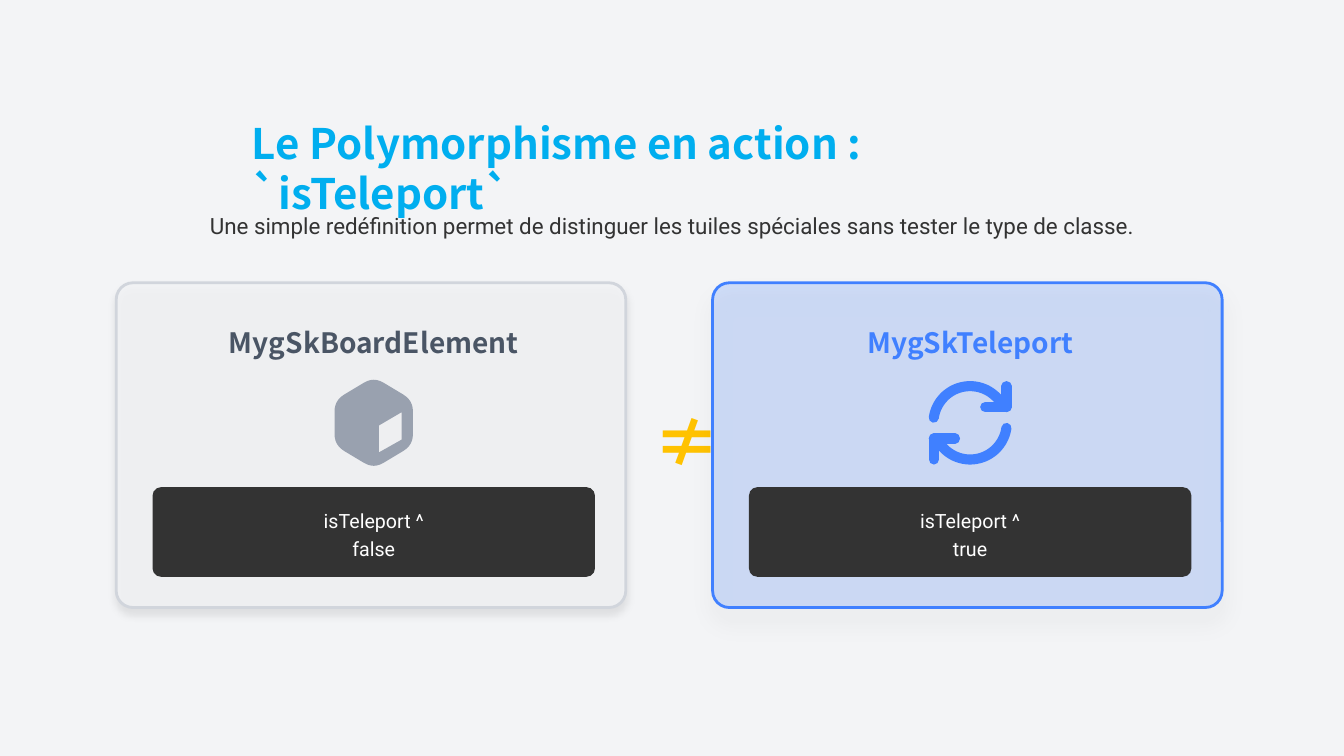
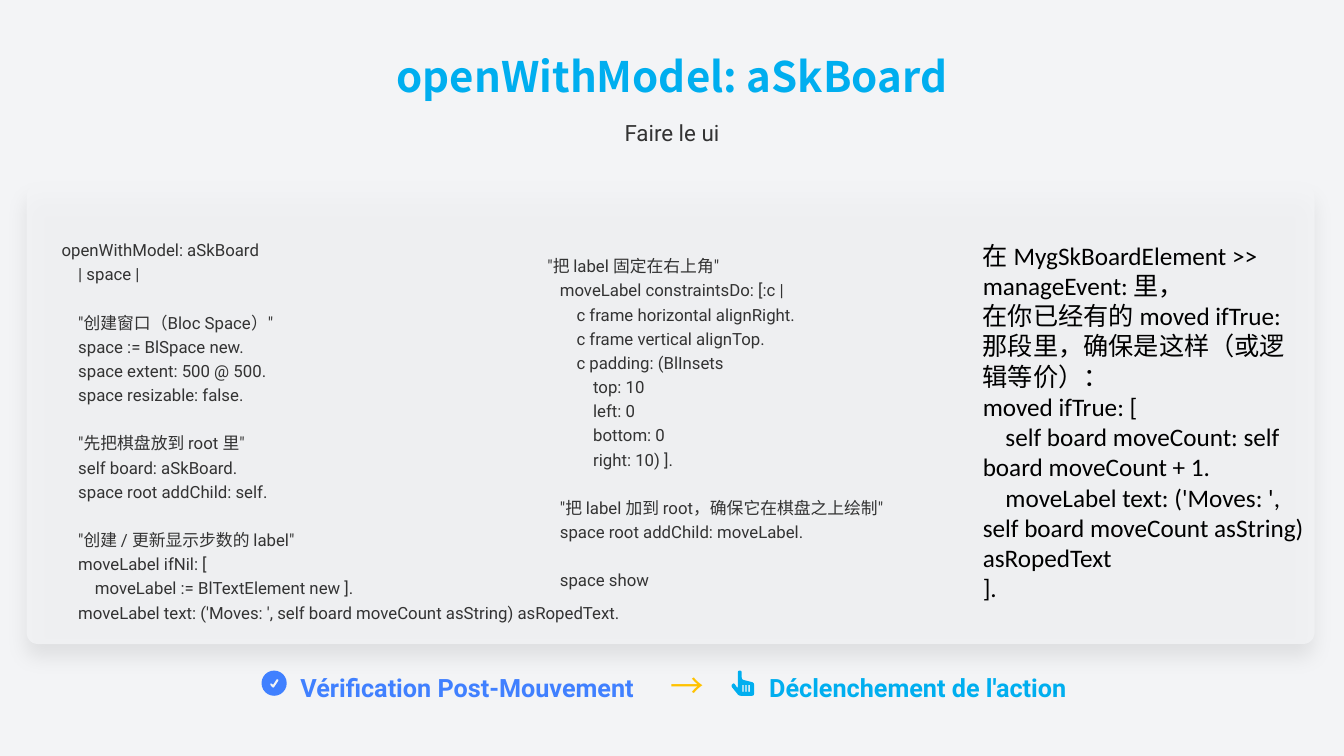
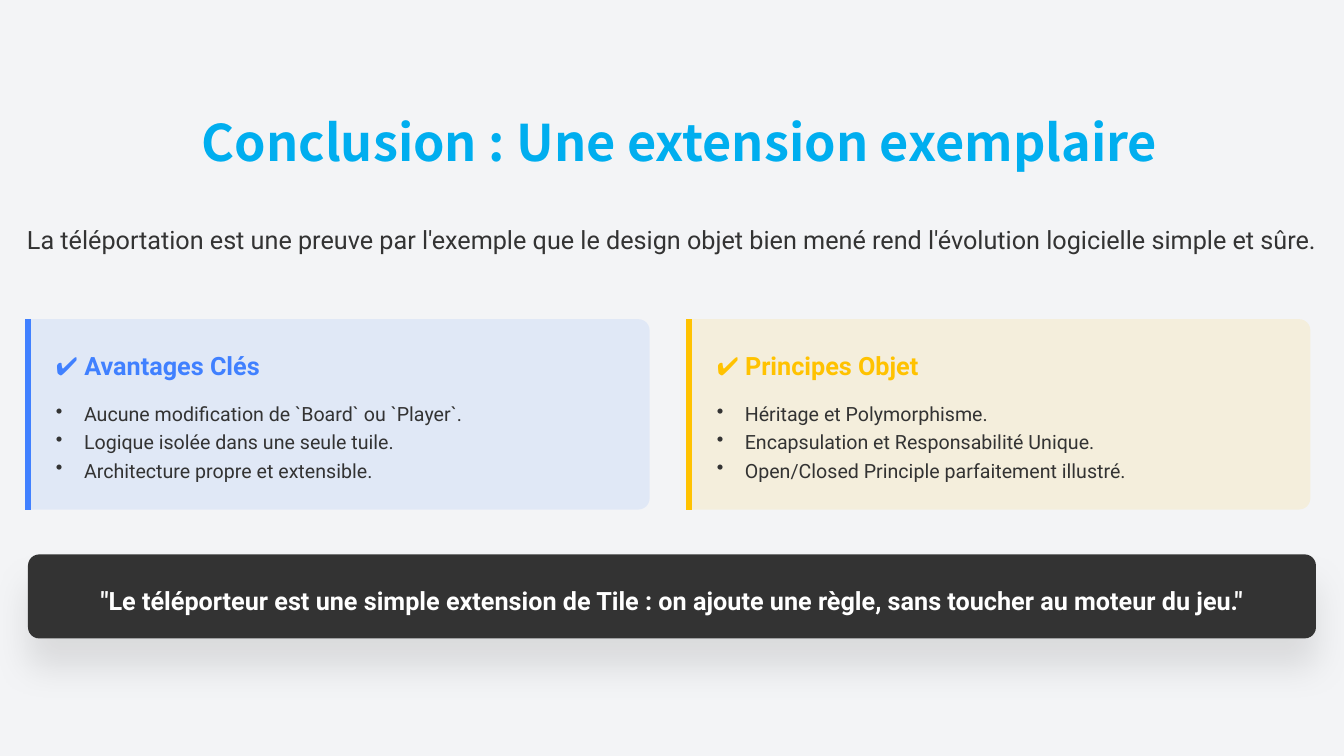
from math import cos, radians, sin

from lxml.etree import SubElement
from pptx import Presentation
from pptx.dml.color import RGBColor
from pptx.enum.shapes import MSO_CONNECTOR as Connector, MSO_SHAPE as Preset
from pptx.enum.text import MSO_ANCHOR as Anchor, MSO_AUTO_SIZE as AutoSize, PP_ALIGN as Align
from pptx.oxml.ns import qn
from pptx.util import Emu, Pt

COLUMNS, ROWS, CELL = 48, 27, 254000
HEADING, BODY, NOTE = "Noto Sans CJK SC", "Roboto", "Calibri"
PALE, DARK, CYAN, BLUE, YELLOW = "F3F4F6", "333333", "00AEEF", "4080FF", "FFC200"
WHITE, BLACK, SLATE, GREY, BORDER = "FFFFFF", "000000", "4A5565", "99A1AF", "D1D5DC"

OPEN_CODE = """openWithModel: aSkBoard
    | space |

    "创建窗口（Bloc Space）"
    space := BlSpace new.
    space extent: 500 @ 500.
    space resizable: false.

    "先把棋盘放到 root 里"
    self board: aSkBoard.
    space root addChild: self.

    "创建 / 更新显示步数的 label"
    moveLabel ifNil: [
        moveLabel := BlTextElement new ].
    moveLabel text: ('Moves: ', self board moveCount asString) asRopedText."""

LABEL_CODE = """ "把 label 固定在右上角"
    moveLabel constraintsDo: [:c |
        c frame horizontal alignRight.
        c frame vertical alignTop.
        c padding: (BlInsets
            top: 10
            left: 0
            bottom: 0
            right: 10) ].

    "把 label 加到 root，确保它在棋盘之上绘制"
    space root addChild: moveLabel.

    space show"""

EVENT_NOTE = """在 MygSkBoardElement >> manageEvent: 里，
在你已经有的 moved ifTrue: 那段里，确保是这样（或逻辑等价）：
moved ifTrue: [
    self board moveCount: self board moveCount + 1.
    moveLabel text: ('Moves: ', self board moveCount asString) asRopedText
]."""


def grid(*cells):
    return [Emu(round(cell * CELL)) for cell in cells]


def color(value):
    return RGBColor.from_string(value)


def format_para(para, size, ink, font=BODY, bold=False, spacing=1.0, align=Align.LEFT):
    para.line_spacing = spacing
    para.alignment = align
    for span in para.runs:
        span.font.name = font
        span.font.size = Pt(size)
        span.font.bold = bold
        span.font.color.rgb = color(ink)


def fill_frame(frame, text, anchor=Anchor.MIDDLE, gap=0, **style):
    frame.word_wrap = True
    frame.auto_size = AutoSize.NONE
    frame.vertical_anchor = anchor
    frame.margin_left = frame.margin_right = frame.margin_top = frame.margin_bottom = 0
    blocks = [block.split("\n") for block in text.split("\n\n")]
    frame.text = "\n".join(line for block in blocks for line in block)
    for para in frame.paragraphs:
        format_para(para, **style)
    start = 0
    for block in blocks[:-1]:
        start += len(block)
        frame.paragraphs[start].space_before = Pt(gap)


def add_text(page, area, text, **style):
    box = page.shapes.add_textbox(*grid(*area))
    fill_frame(box.text_frame, text, **style)
    return box


def add_title(page, area, text, size=30, spacing=Pt(36), align=Align.LEFT):
    title = page.shapes.title
    title.left, title.top, title.width, title.height = grid(*area)
    fill_frame(title.text_frame, text, size=size, ink=CYAN, font=HEADING, bold=True,
               spacing=spacing, align=align)


def add_subtitle(page, area, text, size=16):
    add_text(page, area, text, size=size, ink=DARK, spacing=1.3, align=Align.CENTER)


def add_code(page, area, text):
    add_text(page, area, text, anchor=Anchor.TOP, gap=17.25, size=12, ink=DARK, spacing=1.2)


def add_label(page, area, text, ink):
    add_text(page, area, text, size=18, ink=ink, bold=True, spacing=1.3)


def paint(shape, fill=None, alpha=100, border=None, width=2):
    shape.shadow.inherit = False
    if fill:
        shape.fill.solid()
        shape.fill.fore_color.rgb = color(fill)
        if alpha < 100:
            solid = shape.element.spPr.find(qn("a:solidFill"))
            SubElement(solid[0], qn("a:alpha"), val=str(alpha * 1000))
    else:
        shape.fill.background()
    if border:
        shape.line.color.rgb = color(border)
        shape.line.width = Pt(width)
    else:
        shape.line.fill.background()


def cast_shadow(shape, blur, distance):
    effects = shape.element.spPr.find(qn("a:effectLst"))
    shadow = SubElement(effects, qn("a:outerShdw"), blurRad=str(Pt(blur)), dist=str(Pt(distance)),
                        dir="5400000", algn="ctr", rotWithShape="0")
    tint = SubElement(shadow, qn("a:srgbClr"), val=BLACK)
    SubElement(tint, qn("a:alpha"), val="10000")


def add_panel(page, area, radius, shadow=None, **look):
    panel = page.shapes.add_shape(Preset.ROUNDED_RECTANGLE, *grid(*area))
    panel.adjustments[0] = radius / min(area[2:])
    paint(panel, **look)
    if shadow:
        cast_shadow(panel, *shadow)
    return panel


def rounded(corners, radius, steps=6):
    points = []
    for index, (x, y) in enumerate(corners):
        ends = []
        for near_x, near_y in (corners[index - 1], corners[(index + 1) % len(corners)]):
            length = ((near_x - x) ** 2 + (near_y - y) ** 2) ** 0.5
            share = min(radius / length, 0.5)
            ends.append((x + (near_x - x) * share, y + (near_y - y) * share))
        for step in range(steps + 1):
            t = step / steps
            points.append(tuple((1 - t) ** 2 * a + 2 * t * (1 - t) * c + t ** 2 * b
                                for a, c, b in zip(ends[0], (x, y), ends[1])))
    return points


def add_outline(page, center, contours, closed=True, **look):
    placed = [[grid(center[0] + x, center[1] + y) for x, y in contour] for contour in contours]
    builder = page.shapes.build_freeform(*placed[0][0])
    for index, contour in enumerate(placed):
        if index:
            builder.move_to(*contour[0])
        builder.add_line_segments(contour[1:], close=closed)
    outline = builder.convert_to_shape()
    paint(outline, **look)
    if not closed:
        line = outline.element.spPr.find(qn("a:ln"))
        line.set("cap", "rnd")
        SubElement(line, qn("a:round"))


def add_cube(page, center):
    hexagon = [(0, -1.64), (1.4, -0.8), (1.4, 0.8), (0, 1.64), (-1.4, 0.8), (-1.4, -0.8)]
    window = [(1, 0.6), (1, -0.38), (0.18, 0.1), (0.18, 1.06)]
    add_outline(page, center, [rounded(hexagon, 0.4), window], fill=GREY)


def add_refresh(page, center):
    arc = [(1.31 * cos(radians(angle)), 1.31 * sin(radians(angle))) for angle in range(188, 316, 4)]
    elbow = (1.3, -0.56)
    half = [arc + [elbow], [(0.54, -0.56), elbow, (1.3, -1.31)]]
    turned = [[(-x, -y) for x, y in contour] for contour in half]
    add_outline(page, center, half + turned, closed=False, border=BLUE, width=7.2)


def add_check(page, center):
    x, y = center
    badge = page.shapes.add_shape(Preset.OVAL, *grid(x - 0.45, y - 0.45, 0.9, 0.9))
    paint(badge, fill=BLUE)
    tick = [(-0.11, 0.04), (-0.03, 0.12), (0.12, -0.11)]
    add_outline(page, center, [tick], closed=False, border=PALE, width=1.5)


def add_hand(page, center):
    palm = [(-0.18, -0.45), (-0.04, -0.45), (-0.04, -0.13), (0.4, -0.02), (0.4, 0.45),
            (-0.14, 0.45), (-0.43, 0.09), (-0.32, -0.02), (-0.18, 0.2)]
    slits = [[(x, 0.06), (x + 0.05, 0.06), (x + 0.05, 0.31), (x, 0.31)]
             for x in (-0.02, 0.09, 0.2)]
    add_outline(page, center, [rounded(palm, 0.08)] + slits, fill=CYAN)


def add_class_card(page, left, name, ink, answer, draw_icon, shadow, **look):
    add_panel(page, (left, 10.1, 18.2, 11.6), 0.6, shadow, **look)
    inner, width = left + 1.3, 15.8
    middle = inner + width / 2
    add_text(page, (inner, 11.4, width, 1.4), name, size=20, ink=ink, font=HEADING, bold=True,
             spacing=1.2, align=Align.CENTER)
    draw_icon(page, (middle, 15.1))
    add_panel(page, (inner, 17.4, width, 3.2), 0.3, fill=DARK)
    add_text(page, (middle - 2.2, 18.1, 4.4, 1.8), answer, size=14, ink=WHITE, spacing=1.2,
             align=Align.CENTER)


def add_summary(page, left, heading, points, accent):
    top, width, height = 11.4, 22.2, 6.8
    edge = page.shapes.add_connector(Connector.STRAIGHT, *grid(left, top, left, top + height))
    edge.line.color.rgb = color(accent)
    edge.line.width = Pt(4)
    SubElement(edge.element.spPr, qn("a:effectLst"))
    sideways = grid(left + (width - height) / 2, top + (height - width) / 2, height, width)
    panel = page.shapes.add_shape(Preset.ROUND_2_SAME_RECTANGLE, *sideways)
    panel.rotation = 90
    panel.adjustments[0] = 0.4 / height
    paint(panel, fill=accent, alpha=10)
    add_label(page, (left + 1, 12.2, 21, 1.4), heading, accent)
    box = add_text(page, (left + 1, 14, 21, 3.4), "\n".join(points), size=14, ink=DARK, spacing=1.2)
    for para in box.text_frame.paragraphs:
        settings = para._p.get_or_add_pPr()
        settings.set("marL", str(CELL))
        settings.set("indent", str(-CELL))
        SubElement(SubElement(settings, qn("a:buClr")), qn("a:srgbClr"), val=DARK)
        SubElement(settings, qn("a:buChar"), char="•")


def build_polymorphism(page):
    add_title(page, (9, 5.1, 30.6, 1.8), "Le Polymorphisme en action : `isTeleport`")
    add_subtitle(page, (6, 7.3, 36, 1.2), "Une simple redéfinition permet de distinguer les tuiles "
                 "spéciales sans tester le type de classe.")
    add_class_card(page, 4.15, "MygSkBoardElement", SLATE, "isTeleport ^ false", add_cube, (6, 4),
                   fill=PALE, alpha=80, border=BORDER)
    add_text(page, (23.35, 10.1, 2.5, 11.8), "≠", size=48, ink=YELLOW, font=HEADING, bold=True,
             spacing=0.8)
    add_class_card(page, 25.45, "MygSkTeleport", BLUE, "isTeleport ^ true", add_refresh, (15, 10),
                   fill=BLUE, alpha=20, border=BLUE)


def build_code(page):
    add_title(page, (0.6, 1.8, 46.8, 1.8), "openWithModel: aSkBoard", align=Align.CENTER)
    add_subtitle(page, (0.6, 4, 46.8, 1.2), "Faire le ui")
    add_panel(page, (0.95, 6.6, 46, 16.4), 0.4, (15, 10), fill=PALE, alpha=80)
    add_code(page, (2.2, 8.42, 24, 14.1), OPEN_CODE)
    add_code(page, (19.4, 9, 15, 13), LABEL_CODE)
    add_text(page, (35.1, 8.57, 11.48, 13.1), EVENT_NOTE, anchor=Anchor.TOP, size=18, ink=BLACK,
             font=NOTE)
    add_check(page, (9.79, 24.4))
    add_label(page, (10.73, 23.7, 12.9, 1.4), "Vérification Post-Mouvement", BLUE)
    add_text(page, (23.94, 23.6, 1.8, 1.6), "→", size=24, ink=YELLOW, font=HEADING, spacing=1.1)
    add_hand(page, (26.53, 24.4))
    add_label(page, (27.47, 23.7, 11.7, 1.4), "Déclenchement de l'action", CYAN)


def build_conclusion(page):
    add_title(page, (7.2, 4.2, 36, 2), "Conclusion : Une extension exemplaire", size=36, spacing=0.9)
    add_subtitle(page, (0.8, 7, 46.4, 2.8), "La téléportation est une preuve par l'exemple que le "
                 "design objet bien mené rend l'évolution logicielle simple et sûre.", size=18)
    add_summary(page, 1, "✔ Avantages Clés", (
        "Aucune modification de `Board` ou `Player`.",
        "Logique isolée dans une seule tuile.",
        "Architecture propre et extensible."), BLUE)
    add_summary(page, 24.6, "✔ Principes Objet", (
        "Héritage et Polymorphisme.",
        "Encapsulation et Responsabilité Unique.",
        "Open/Closed Principle parfaitement illustré."), YELLOW)
    banner = add_panel(page, (1, 19.8, 46, 3), 0.4, (25, 20), fill=DARK)
    fill_frame(banner.text_frame, "\"Le téléporteur est une simple extension de Tile : on ajoute "
               "une règle, sans toucher au moteur du jeu.\"", size=18, ink=WHITE, bold=True,
               spacing=1.3, align=Align.CENTER)


def main():
    deck = Presentation()
    deck.slide_width, deck.slide_height = grid(COLUMNS, ROWS)
    backdrop = deck.slide_master.background.fill
    backdrop.solid()
    backdrop.fore_color.rgb = color(PALE)
    for build in (build_polymorphism, build_code, build_conclusion):
        build(deck.slides.add_slide(deck.slide_layouts[5]))
    deck.save("out.pptx")


if __name__ == "__main__":
    main()
